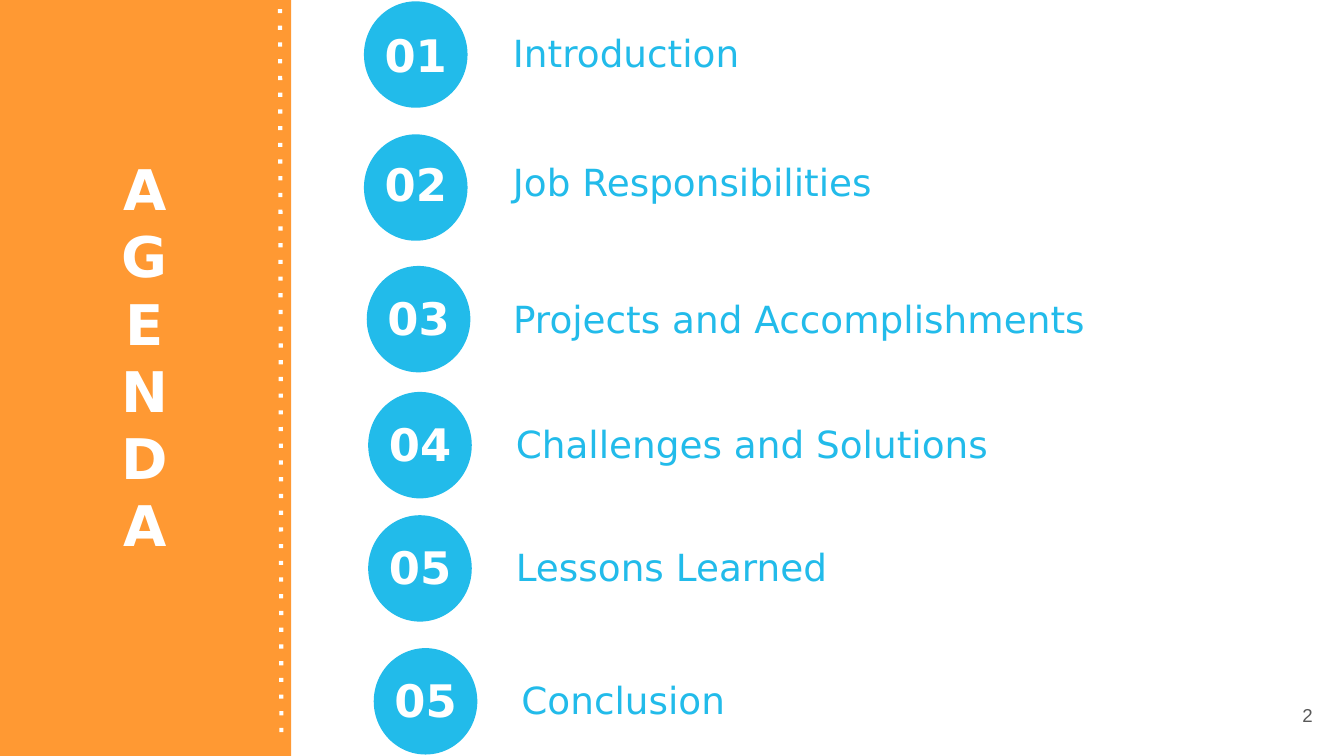
import pptx
import pptx.util
import pptx.dml.color
import pptx.enum.dml
import pptx.enum.shapes
import pptx.enum.text
import pptx.oxml.ns
import lxml.etree

PX = 9525
ORANGE, BLUE, WHITE, GREY = "FF9933", "22BBEA", "FFFFFF", "595959"
SHAPE = pptx.enum.shapes.MSO_SHAPE
ALIGN = pptx.enum.text.PP_ALIGN
ANCHOR = pptx.enum.text.MSO_ANCHOR

ITEMS = [
    ("01", 260, 1, 21, 66, "Introduction", 357, 17, 402),
    ("02", 260, 96, 113, 68, "Job Responsibilities", 357, 109, 402),
    ("03", 262, 190, 209, 80, "Projects and Accomplishments", 357, 207, 505),
    ("04", 263, 280, 299, 80, "Challenges and Solutions", 359, 296, 402),
    ("05", 263, 368, 387, 80, "Lessons Learned", 359, 384, 402),
    ("05", 267, 463, 482, 80, "Conclusion", 363, 479, 402),
]


def px(*values):
    return [pptx.util.Emu(v * PX) for v in values]


def rgb(color):
    return pptx.dml.color.RGBColor.from_string(color)


class Deck:
    font = "DejaVu Sans"

    def __init__(self, width, height):
        self.prs = pptx.Presentation()
        self.prs.slide_width, self.prs.slide_height = px(width, height)
        self.s = self.prs.slides.add_slide(self.prs.slide_layouts[6])

    def shape(self, kind, box, color, parent=None):
        sp = (parent or self.s).shapes.add_shape(kind, *px(*box))
        sp.shadow.inherit = False
        sp.fill.solid()
        sp.fill.fore_color.rgb = rgb(color)
        sp.line.fill.background()

    def text(self, text, box, size, color, parent=None, bold=False, font=None,
             align=ALIGN.LEFT, anchor=ANCHOR.TOP, before=0):
        sp = (parent or self.s).shapes.add_textbox(*px(*box))
        tf = sp.text_frame
        tf.word_wrap = True
        tf.vertical_anchor = anchor
        p = tf.paragraphs[0]
        p.text = text
        p.alignment = align
        p.space_before = pptx.util.Pt(before)
        for r in p.runs:
            r.font.name = font or self.font
            r.font.size = pptx.util.Pt(size)
            r.font.bold = bold
            r.font.color.rgb = rgb(color)

    def heading(self, text, box, size, parent=None):
        self.text(text, box, size, WHITE, parent, bold=True,
                  align=ALIGN.CENTER, anchor=ANCHOR.MIDDLE, before=3.2)

    def dotted_line(self, x1, y1, x2, y2, color, width):
        c = self.s.shapes.add_connector(
            pptx.enum.shapes.MSO_CONNECTOR.STRAIGHT, *px(x1, y1, x2, y2))
        c.line.color.rgb = rgb(color)
        c.line.width = pptx.util.Pt(width)
        c.line.dash_style = pptx.enum.dml.MSO_LINE.ROUND_DOT
        sp_pr = c.element.find(pptx.oxml.ns.qn("p:spPr"))
        sp_pr.find(".//" + pptx.oxml.ns.qn("a:prstDash")).set("val", "dot")
        lxml.etree.SubElement(sp_pr, pptx.oxml.ns.qn("a:effectLst"))

    def badge(self, number, x, y, number_y, number_width):
        group = self.s.shapes.add_group_shape()
        self.shape(SHAPE.OVAL, (x, y, 74, 76), BLUE, group)
        number_x = x + (74 - number_width) // 2
        self.heading(number, (number_x, number_y, number_width, 36), 24, group)


def main():
    deck = Deck(960, 540)
    deck.shape(SHAPE.RECTANGLE, (-2, 0, 210, 540), ORANGE)
    deck.heading("\v".join("AGENDA"), (7, 232, 193, 45), 30)
    deck.dotted_line(201, 523, 200, -18, WHITE, 2.25)
    for number, x, y, number_y, number_width, label, *label_at, width in ITEMS:
        deck.badge(number, x, y, number_y, number_width)
        deck.text(label, (*label_at, width, 42), 20, BLUE)
    deck.text("2", (889, 490, 58, 41), 10, GREY, font="Arial",
              align=ALIGN.RIGHT, anchor=ANCHOR.MIDDLE)
    deck.prs.save("out.pptx")


if __name__ == "__main__":
    main()
